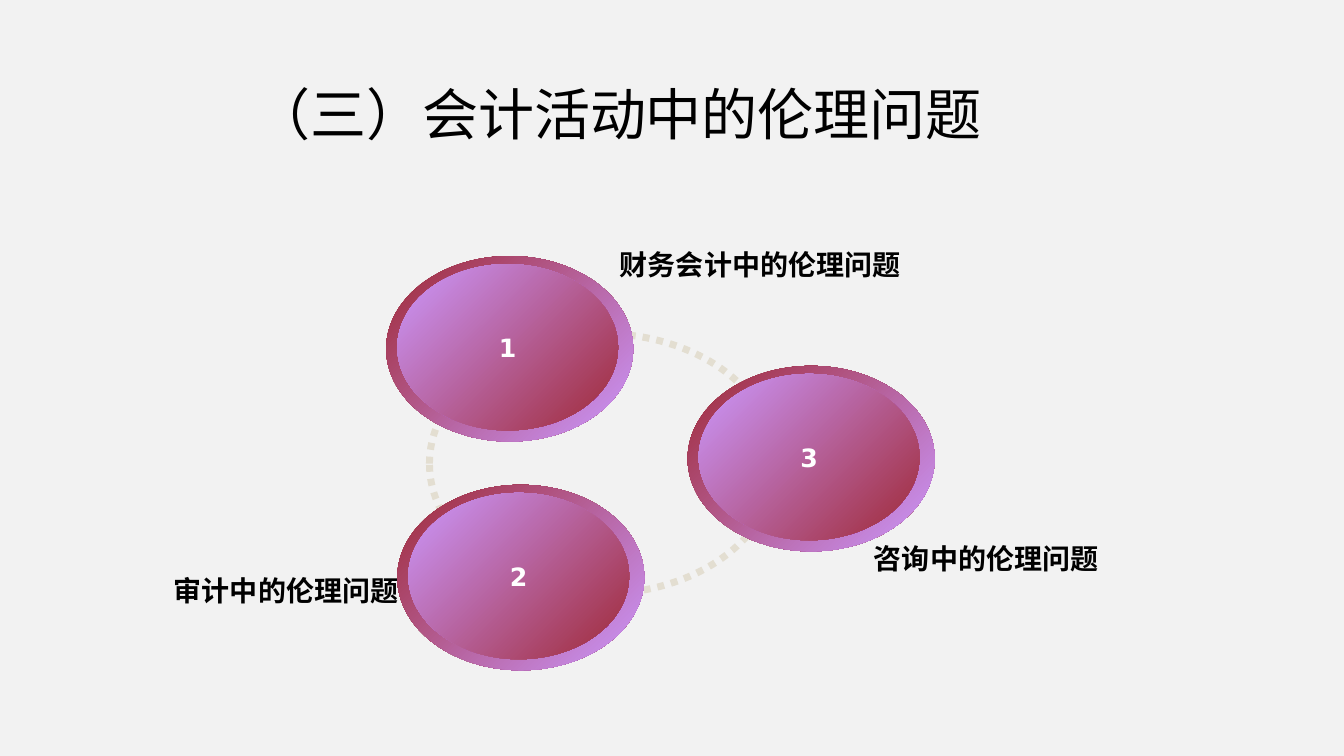
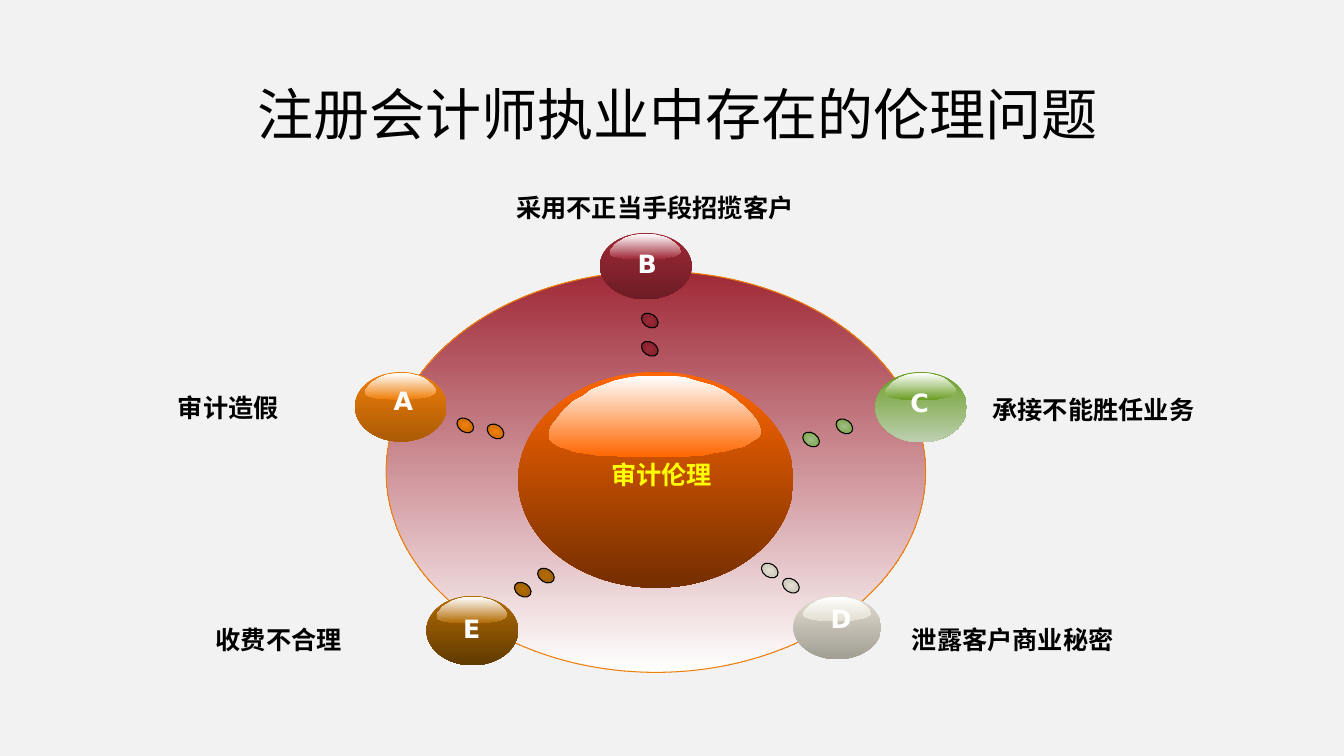
"""Builds two slides on ethical problems in accounting."""
from lxml import etree
from pptx import Presentation
from pptx.dml.color import RGBColor as RGB
from pptx.enum.dml import MSO_LINE as DASH
from pptx.enum.shapes import MSO_SHAPE as SHAPE
from pptx.enum.text import MSO_ANCHOR as ANCHOR, PP_ALIGN as ALIGN
from pptx.oxml.ns import qn
from pptx.util import Inches, Pt

COLORS = {
    "back": "F2F2F2", "text": "000000", "white": "FFFFFF", "yellow": "FFFF00",
    "red": "9F2936", "lilac": "CC99FF", "sand": "E3DED1", "orange": "F07F09",
    "flame": "FF6600", "rust": "742E00", "wine": "6D1C25", "wine_dot": "711D26",
    "brown": "B26B02", "umber": "603A01", "brown_dot": "955A02",
    "green": "6B9F25", "sage": "BDCFB1", "sage_dot": "A1BC8C",
    "stone": "A19E94", "stone_dot": "BEBAAF", "amber": "AA5A06", "amber_dot": "BD6407",
}
CJK = "Noto Sans CJK SC"
TITLE = {"size": Pt(40), "name": CJK, "bold": False}
LABEL = {"size": Pt(20), "name": "DejaVu Sans", "bold": True}
LETTER = {"size": Pt(18), "name": "DejaVu Sans", "bold": True}
CAPTION = {"size": Pt(18), "name": "Arial", "bold": True}

GLOSS = [
    (98.5, 55.6), (100, 67), (99.5, 72), (98.5, 77), (96.5, 80), (94, 84), (91, 88),
    (87, 90), (83, 93), (78, 95), (73, 97.5), (68, 99), (60.5, 100), (36, 100),
    (31, 99), (26, 98.5), (22, 97.5), (17.6, 96), (14, 95), (11, 93), (7.6, 90),
    (5, 88), (3, 85), (1.4, 81), (0.5, 78), (0, 73), (0.5, 68), (1.4, 62), (4, 52),
    (7, 42), (11, 32), (16, 25), (20.5, 17), (26, 11), (31, 6), (38, 2.5), (44, 0),
    (58, 0), (64, 2.5), (70.5, 7), (77, 12), (82, 18.5), (87, 27), (91, 36), (95, 46),
]

TOPICS = [
    ("1", 3.83, 2.54, "财务会计中的伦理问题", (6.05, 2.41, 4.29, 0.43), ALIGN.LEFT),
    ("2", 3.94, 4.81, "审计中的伦理问题", (0.58, 5.64, 3.47, 0.43), ALIGN.RIGHT),
    ("3", 6.82, 3.63, "咨询中的伦理问题", (8.57, 5.32, 3.76, 0.43), ALIGN.LEFT),
]

ISSUES = [
    ("B", (5.95, 2.31, 0.91, 0.66), (6.22, 2.41), ("red", "wine"),
     ("red", "wine_dot"), [(6.38, 3.09), (6.38, 3.37)],
     "采用不正当手段招揽客户", (3.66, 1.86, 5.67, 0.4)),
    ("E", (4.23, 5.91, 0.91, 0.69), (4.48, 6.04), ("brown", "umber"),
     ("brown", "brown_dot"), [(5.12, 5.76), (5.35, 5.62)],
     "收费不合理", (1.5, 6.14, 2.53, 0.4)),
    ("C", (8.68, 3.69, 0.91, 0.7), (8.92, 3.79), ("green", "sage"),
     ("sage_dot", "green"), [(8.31, 4.14), (7.98, 4.27)],
     "承接不能胜任业务", (9.58, 3.86, 2.53, 0.4)),
    ("D", (7.87, 5.91, 0.87, 0.63), (8.14, 5.94), ("sand", "stone"),
     ("sand", "stone_dot"), [(7.78, 5.72), (7.57, 5.57)],
     "泄露客户商业秘密", (8.78, 6.14, 2.53, 0.4)),
    ("A", (3.52, 3.69, 0.91, 0.69), (3.8, 3.77), ("orange", "amber"),
     ("orange", "amber_dot"), [(4.55, 4.13), (4.85, 4.19)],
     "审计造假", (1, 3.84, 2.53, 0.4)),
]


def rgb(name):
    return RGB.from_string(COLORS[name])


def write(sp, text, style, color="text", align=ALIGN.CENTER, anchor=ANCHOR.TOP, wrap=True):
    tf = sp.text_frame
    tf.word_wrap = wrap
    tf.vertical_anchor = anchor
    p = tf.paragraphs[0]
    p.alignment = align
    r = p.add_run()
    r.text = text
    for key, value in style.items():
        setattr(r.font, key, value)
    r.font.color.rgb = rgb(color)
    etree.SubElement(r.font._element, qn("a:ea")).set("typeface", CJK)


def add_text(s, box, text, style, **options):
    write(s.shapes.add_textbox(*map(Inches, box)), text, style, **options)


def paint(sp, colors=None, angle=90, line=None, width=0.75):
    sp.shadow.inherit = False
    if colors:
        sp.fill.gradient()
        sp.fill.gradient_angle = 360 - angle
        for stop, color in zip(sp.fill.gradient_stops, colors):
            stop.color.rgb = rgb(color)
    else:
        sp.fill.background()
    if line:
        sp.line.color.rgb = rgb(line)
        sp.line.width = Pt(width)
    else:
        sp.line.fill.background()


def add_oval(s, box, colors=None, **options):
    sp = s.shapes.add_shape(SHAPE.OVAL, *map(Inches, box))
    paint(sp, colors, **options)
    return sp


def add_dot(s, x, y, colors):
    sp = add_oval(s, (x, y, 0.13, 0.18), colors, line="text")
    sp.rotation = 303.8
    grad = sp._element.spPr.find(qn("a:gradFill"))
    grad.remove(grad.find(qn("a:lin")))
    radial = etree.SubElement(grad, qn("a:path"), {"path": "shape"})
    etree.SubElement(radial, qn("a:fillToRect"), dict.fromkeys("ltrb", "50000"))


def add_glossy_ball(s, box, colors):
    add_oval(s, box, colors)
    x, y, w, h = box
    scale = (Inches(0.77 * w) / 100, Inches(0.375 * h) / 100)
    fb = s.shapes.build_freeform(*GLOSS[0], scale=scale)
    fb.add_line_segments(GLOSS[1:], close=True)
    sp = fb.convert_to_shape(Inches(x + 0.113 * w), Inches(y + 0.018 * h))
    paint(sp, ("white", colors[0]))


def add_slide(prs, title, width):
    s = prs.slides.add_slide(prs.slide_layouts[6])
    add_text(s, (1, 0.68, width, 0.82), title, TITLE, anchor=ANCHOR.BOTTOM)
    return s


def add_topics_slide(prs):
    s = add_slide(prs, "（三）会计活动中的伦理问题", 10.26)
    orbit = add_oval(s, (4.26, 3.31, 3.44, 2.58), line="sand", width=5)
    orbit.line.dash_style = DASH.ROUND_DOT
    for number, x, y, label, box, align in TOPICS:
        add_text(s, box, label, LABEL, align=align)
        add_oval(s, (x, y, 2.45, 1.84), ("red", "lilac"), angle=45)
        sp = add_oval(s, (x + 0.11, y + 0.08, 2.19, 1.65), ("lilac", "red"), angle=45)
        write(sp, number, LETTER, "white", anchor=ANCHOR.MIDDLE, wrap=False)


def add_issues_slide(prs):
    s = add_slide(prs, "注册会计师执业中存在的伦理问题", 11.44)
    add_oval(s, (3.83, 2.69, 5.35, 3.98), ("red", "white"), line="orange")
    add_glossy_ball(s, (5.14, 3.69, 2.73, 2.14), ("flame", "rust"))
    add_text(s, (5.95, 4.51, 1.22, 0.4), "审计伦理", CAPTION, color="yellow", wrap=False)
    for letter, ball, spot, colors, dot_colors, dots, label, box in ISSUES:
        add_glossy_ball(s, ball, colors)
        add_text(s, (*spot, 0.4, 0.4), letter, LETTER, color="white", wrap=False)
        for x, y in dots:
            add_dot(s, x, y, dot_colors)
        add_text(s, box, label, CAPTION)


def main():
    prs = Presentation()
    prs.slide_width, prs.slide_height = Inches(13.33), Inches(7.5)
    fill = prs.slide_master.background.fill
    fill.solid()
    fill.fore_color.rgb = rgb("back")
    add_topics_slide(prs)
    add_issues_slide(prs)
    prs.save("out.pptx")


if __name__ == "__main__":
    main()
